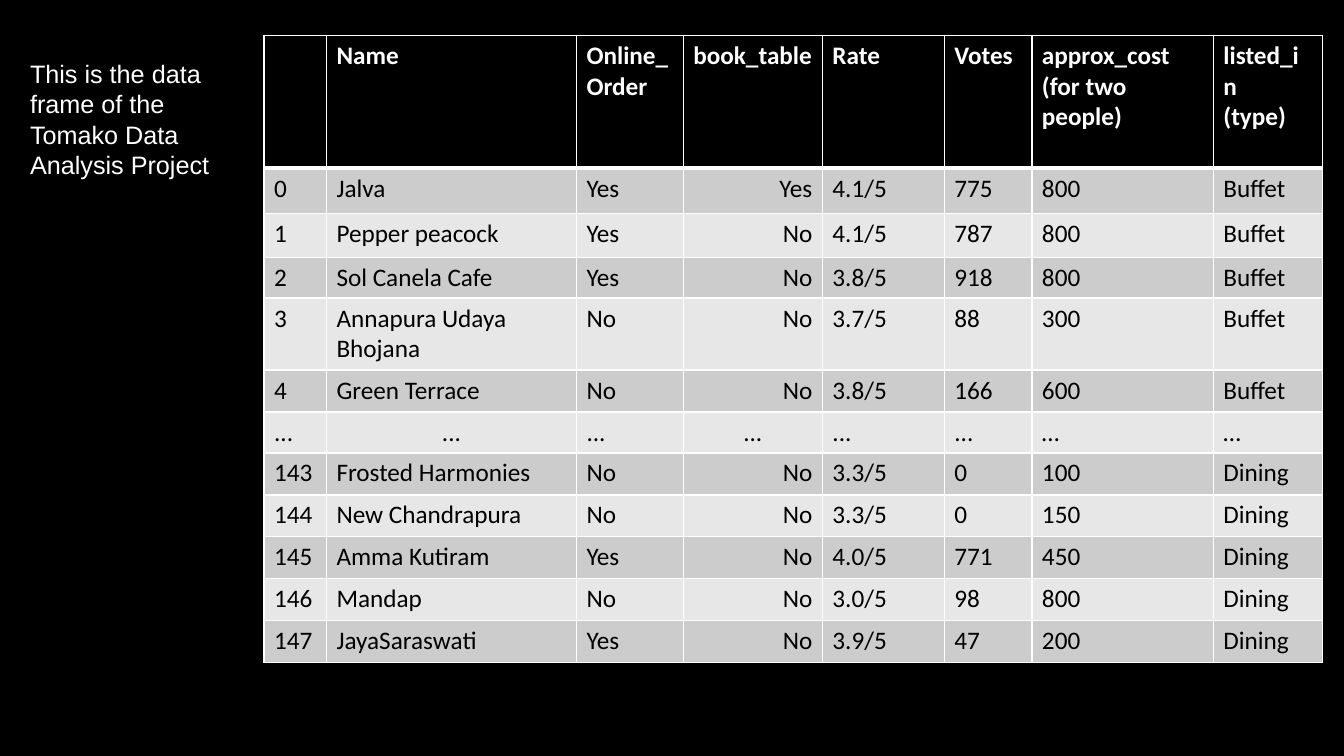
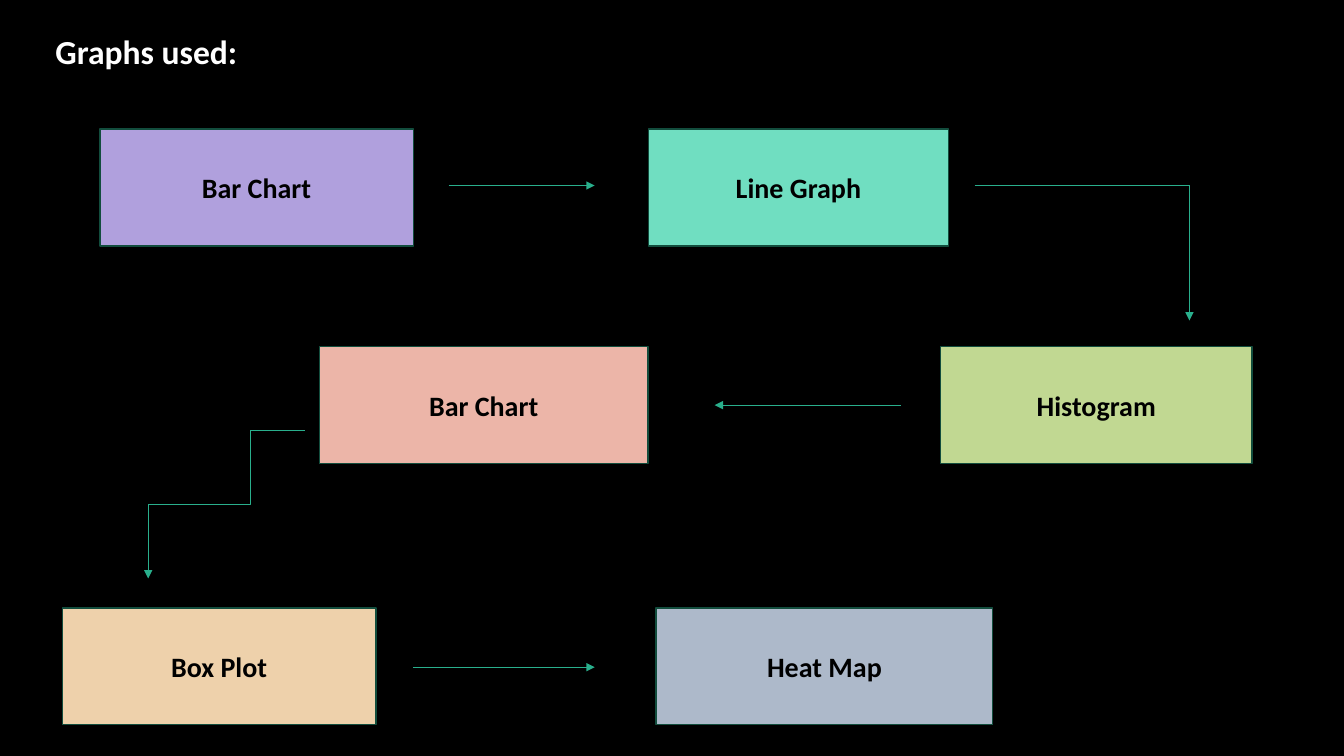
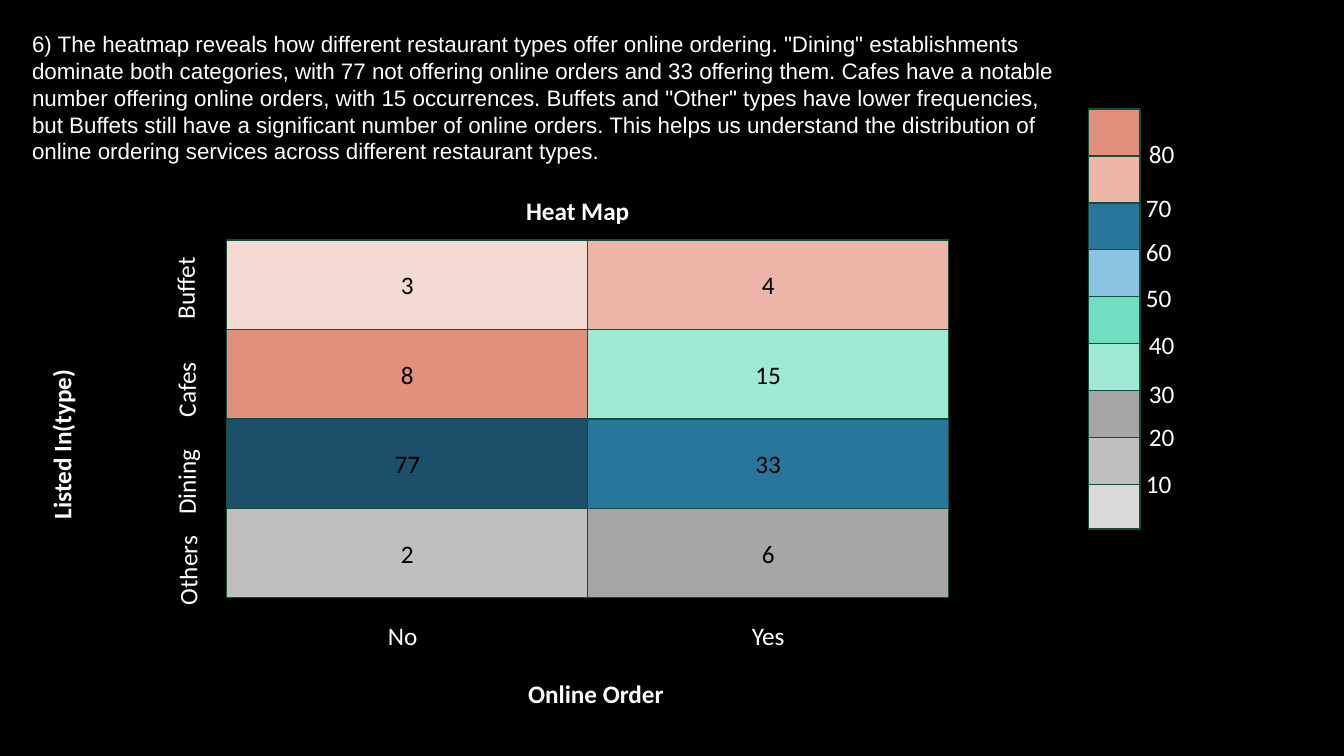
import pptx
import pptx.dml.color
import pptx.enum.shapes
import pptx.enum.text
import pptx.oxml
import pptx.oxml.ns
import pptx.util
from lxml import etree

Pt = pptx.util.Pt
RGBColor = pptx.dml.color.RGBColor
PP_ALIGN = pptx.enum.text.PP_ALIGN
MSO_ANCHOR = pptx.enum.text.MSO_ANCHOR
MSO_CONNECTOR = pptx.enum.shapes.MSO_CONNECTOR
qn = pptx.oxml.ns.qn

BLACK = RGBColor(0x00, 0x00, 0x00)
WHITE = RGBColor(0xFF, 0xFF, 0xFF)
DARK_BAND = RGBColor(0xCC, 0xCC, 0xCC)
LIGHT_BAND = RGBColor(0xE7, 0xE7, 0xE7)
OUTLINE = RGBColor(0x12, 0x4D, 0x3D)
ARROW = RGBColor(0x29, 0xAF, 0x8C)
PURPLE = RGBColor(0xB0, 0xA0, 0xDD)
TEAL = RGBColor(0x70, 0xDE, 0xC1)
PALE_TEAL = RGBColor(0xA0, 0xE9, 0xD6)
GREEN = RGBColor(0xC1, 0xD8, 0x92)
CORAL = RGBColor(0xE2, 0x8F, 0x7D)
PINK = RGBColor(0xEC, 0xB5, 0xA8)
PALE_PINK = RGBColor(0xF5, 0xDA, 0xD4)
SAND = RGBColor(0xEE, 0xD1, 0xAB)
SLATE = RGBColor(0xAD, 0xB9, 0xCA)
NAVY = RGBColor(0x1C, 0x4F, 0x69)
BLUE = RGBColor(0x29, 0x76, 0x9D)
SKY = RGBColor(0x8B, 0xC4, 0xE0)
DARK_GREY = RGBColor(0xA6, 0xA6, 0xA6)
MID_GREY = RGBColor(0xBF, 0xBF, 0xBF)
LIGHT_GREY = RGBColor(0xD9, 0xD9, 0xD9)

LABEL_HEIGHT = 29
TITLE_ONLY, BLANK = 5, 6


class SlideBuilder:
    """Holds the shared style and the slide being filled; lengths are in points."""

    def __init__(self):
        self.deck = pptx.Presentation()
        self.deck.slide_width, self.deck.slide_height = Pt(960), Pt(540)
        background = self.deck.slide_master.background.fill
        background.solid()
        background.fore_color.rgb = BLACK
        self.slide = None

    def new_slide(self, layout):
        self.slide = self.deck.slides.add_slide(self.deck.slide_layouts[layout])

    def set_text(self, frame, text, size=18, color=WHITE, bold=False,
                 font="Calibri", align=PP_ALIGN.LEFT):
        frame.text = text
        for paragraph in frame.paragraphs:
            paragraph.alignment = align
            paragraph.font.name = font
            paragraph.font.size = Pt(size)
            paragraph.font.bold = bold
            paragraph.font.color.rgb = color

    def title(self, text, left, top, width, height, size):
        title = self.slide.shapes.title
        title.left, title.top = Pt(left), Pt(top)
        title.width, title.height = Pt(width), Pt(height)
        title.text_frame.vertical_anchor = MSO_ANCHOR.TOP
        title.text_frame.auto_size = pptx.enum.text.MSO_AUTO_SIZE.NONE
        self.set_text(title.text_frame, text, size, bold=True)

    def label(self, text, left, top, width, height=LABEL_HEIGHT, rotation=0, **style):
        box = self.slide.shapes.add_textbox(Pt(left), Pt(top), Pt(width), Pt(height))
        box.rotation = rotation
        box.text_frame.word_wrap = True
        self.set_text(box.text_frame, text, **style)

    def block(self, left, top, width, height, fill, text="", **style):
        block = self.slide.shapes.add_shape(
            pptx.enum.shapes.MSO_SHAPE.RECTANGLE, Pt(left), Pt(top), Pt(width), Pt(height))
        block.shadow.inherit = False
        block.fill.solid()
        block.fill.fore_color.rgb = fill
        block.line.color.rgb = OUTLINE
        block.line.width = Pt(1)
        if text:
            block.text_frame.vertical_anchor = MSO_ANCHOR.MIDDLE
            self.set_text(block.text_frame, text, color=BLACK, align=PP_ALIGN.CENTER, **style)

    def connector(self, start, end, head=True, kind=MSO_CONNECTOR.STRAIGHT):
        connector = self.slide.shapes.add_connector(kind, *map(Pt, start + end))
        connector.line.color.rgb = ARROW
        connector.line.width = Pt(0.5)
        properties = connector._element.spPr
        if head:
            etree.SubElement(properties.find(qn("a:ln")), qn("a:tailEnd"), type="triangle")
        etree.SubElement(properties, qn("a:effectLst"))
        return connector

    def quarter_turned_elbow(self, start, end):
        """Elbow given by its unturned corners, then turned to leave downwards."""
        elbow = self.connector(start, end, kind=MSO_CONNECTOR.ELBOW)
        elbow._element.spPr.find(qn("a:xfrm")).set("rot", "5400000")

    def cell_borders(self, cell, widths):
        """Widths maps the sides L, R, T, B, in that order, to points."""
        properties = cell._tc.get_or_add_tcPr()
        for position, (side, width) in enumerate(widths.items()):
            border = etree.Element(qn("a:ln" + side), w=str(Pt(width)))
            fill = etree.SubElement(border, qn("a:solidFill"))
            etree.SubElement(fill, qn("a:srgbClr"), val=str(WHITE))
            properties.insert(position, border)

    def table(self, left, top, widths, heights, rows, align_for):
        """Bold black header over banded rows; align_for(row, column) aligns a body cell."""
        table = self.slide.shapes.add_table(
            len(rows), len(widths), Pt(left), Pt(top), Pt(sum(widths)), Pt(sum(heights))).table
        for column, width in zip(table.columns, widths):
            column.width = Pt(width)
        for row, height in zip(table.rows, heights):
            row.height = Pt(height)
        for row, texts in enumerate(rows):
            header = row == 0
            fill = BLACK if header else DARK_BAND if row % 2 else LIGHT_BAND
            for column, text in enumerate(texts):
                cell = table.cell(row, column)
                cell.fill.solid()
                cell.fill.fore_color.rgb = fill
                self.set_text(cell.text_frame, text, bold=header,
                              color=WHITE if header else BLACK,
                              align=PP_ALIGN.LEFT if header else align_for(row, column))
                self.cell_borders(cell, {"L": 1, "R": 1, "T": 3 if row == 1 else 1,
                                         "B": 3 if header else 1})


def build_data_slide(builder):
    rows = [
        ("", "Name", "Online_Order", "book_table", "Rate", "Votes",
         "approx_cost\n(for two people)", "listed_in\n(type)"),
        ("0", "Jalva", "Yes", "Yes", "4.1/5", "775", "800", "Buffet"),
        ("1", "Pepper peacock", "Yes", "No", "4.1/5", "787", "800", "Buffet"),
        ("2", "Sol Canela Cafe", "Yes", "No", "3.8/5", "918", "800", "Buffet"),
        ("3", "Annapura Udaya Bhojana", "No", "No", "3.7/5", "88", "300", "Buffet"),
        ("4", "Green Terrace", "No", "No", "3.8/5", "166", "600", "Buffet"),
        ("...", "...", "...", "...", "...", "...", "…", "…"),
        ("143", "Frosted Harmonies", "No", "No", "3.3/5", "0", "100", "Dining"),
        ("144", "New Chandrapura", "No", "No", "3.3/5", "0", "150", "Dining"),
        ("145", "Amma Kutiram", "Yes", "No", "4.0/5", "771", "450", "Dining"),
        ("146", "Mandap", "No", "No", "3.0/5", "98", "800", "Dining"),
        ("147", "JayaSaraswati", "Yes", "No", "3.9/5", "47", "200", "Dining"),
    ]
    name_column, booking_column = 1, 3

    def align_for(row, column):
        if rows[row][0] == "..." and column in (name_column, booking_column):
            return PP_ALIGN.CENTER
        return PP_ALIGN.RIGHT if column == booking_column else PP_ALIGN.LEFT

    builder.new_slide(BLANK)
    builder.table(188.6, 25.2, (44.6, 178.6, 76.3, 99.4, 87.1, 62.6, 129.6, 77.8),
                  (95, 32.5, 31, 29.2, 51.5, 30, 29.2) + (30,) * 5, rows, align_for)
    builder.label("This is the data frame of the Tomako Data Analysis Project",
                  14.4, 38.2, 146.2, 94.3, font="Arial")


def build_graphs_slide(builder):
    builder.new_slide(TITLE_ONLY)
    builder.title("Graphs used:", 32.4, 18.7, 371.5, 36, 24)
    top_row, middle_row, bottom_row = 92.2, 247.7, 434.2
    for name, left, top, width, fill in (
            ("Bar Chart", 71.3, top_row, 223.9, PURPLE),
            ("Line Graph", 463, top_row, 214.6, TEAL),
            ("Histogram", 671.8, middle_row, 222.5, GREEN),
            ("Bar Chart", 228.2, middle_row, 234.7, PINK),
            ("Box Plot", 44.6, bottom_row, 223.9, SAND),
            ("Heat Map", 468.7, bottom_row, 240.5, SLATE)):
        builder.block(left, top, width, 83.5, fill, name, size=20, bold=True)
    for start, end, head in (
            ((320.4, 132.5), (424.8, 132.5), True),
            ((696.2, 132.5), (849.6, 132.5), False),
            ((849.6, 132.5), (849.6, 229), True),
            ((643.7, 289.4), (510.5, 289.4), True),
            ((178.6, 307.4), (218.2, 307.4), False),
            ((295.2, 476.6), (424.8, 476.6), True)):
        builder.connector(start, end, head)
    builder.quarter_turned_elbow((89.3, 324), (195.1, 396.7))


def build_heat_map_slide(builder):
    builder.new_slide(TITLE_ONLY)
    builder.title("Heat Map", 368.6, 136.1, 200.2, LABEL_HEIGHT, 18)

    cells = (
        (("3", PALE_PINK), ("4", PINK)),
        (("8", CORAL), ("15", PALE_TEAL)),
        (("77", NAVY), ("33", BLUE)),
        (("2", MID_GREY), ("6", DARK_GREY)),
    )
    width, height = 257.8, 63.9
    for row, pair in enumerate(cells):
        for column, (value, fill) in enumerate(pair):
            builder.block(162 + column * width, 171.4 + row * height,
                          width, height, fill, value)

    builder.label("No", 270, 439.2, 100)
    builder.label("Yes", 529.9, 439.2, 85.7)
    builder.label("Online Order", 370.1, 481, 216.7, bold=True)
    for name, left, top, length in (("Buffet", 79.2, 167.8, 105.8),
                                    ("Cafes", 90.7, 248.4, 84.2),
                                    ("Dining", 98.6, 326.2, 68.4),
                                    ("Others", 89.3, 380.2, 89.3)):
        builder.label(name, left, top, length, rotation=270)
    builder.label("Listed In(type)", -64.1, 255.6, 216, rotation=270, bold=True)

    scale = (CORAL, PINK, BLUE, SKY, TEAL, PALE_TEAL, DARK_GREY, MID_GREY, LIGHT_GREY)
    step = 33.55
    for index, fill in enumerate(scale):
        last = index == len(scale) - 1
        builder.block(777.6, 77.8 + index * step, 36.7, 31.7 if last else step, fill)
    for value, left, top in (("80", 813.6, 95), ("70", 811.4, 133.9), ("60", 811.4, 164.9),
                             ("50", 811.4, 198), ("40", 813.6, 231.8), ("30", 813.6, 266.4),
                             ("20", 813.6, 297.4), ("10", 811.4, 331.2)):
        builder.label(value, left, top, 70)

    builder.label(
        "6) The heatmap reveals how different restaurant types offer online ordering. "
        "\"Dining\" establishments dominate both categories, with 77 not offering online "
        "orders and 33 offering them. Cafes have a notable number offering online orders, "
        "with 15 occurrences. Buffets and \"Other\" types have lower frequencies, but Buffets "
        "still have a significant number of online orders. This helps us understand the "
        "distribution of online ordering services across different restaurant types.",
        15.8, 18, 752.4, 105.8, size=16, font="Arial")


def main():
    builder = SlideBuilder()
    build_data_slide(builder)
    build_graphs_slide(builder)
    build_heat_map_slide(builder)
    builder.deck.save("out.pptx")


if __name__ == "__main__":
    main()
